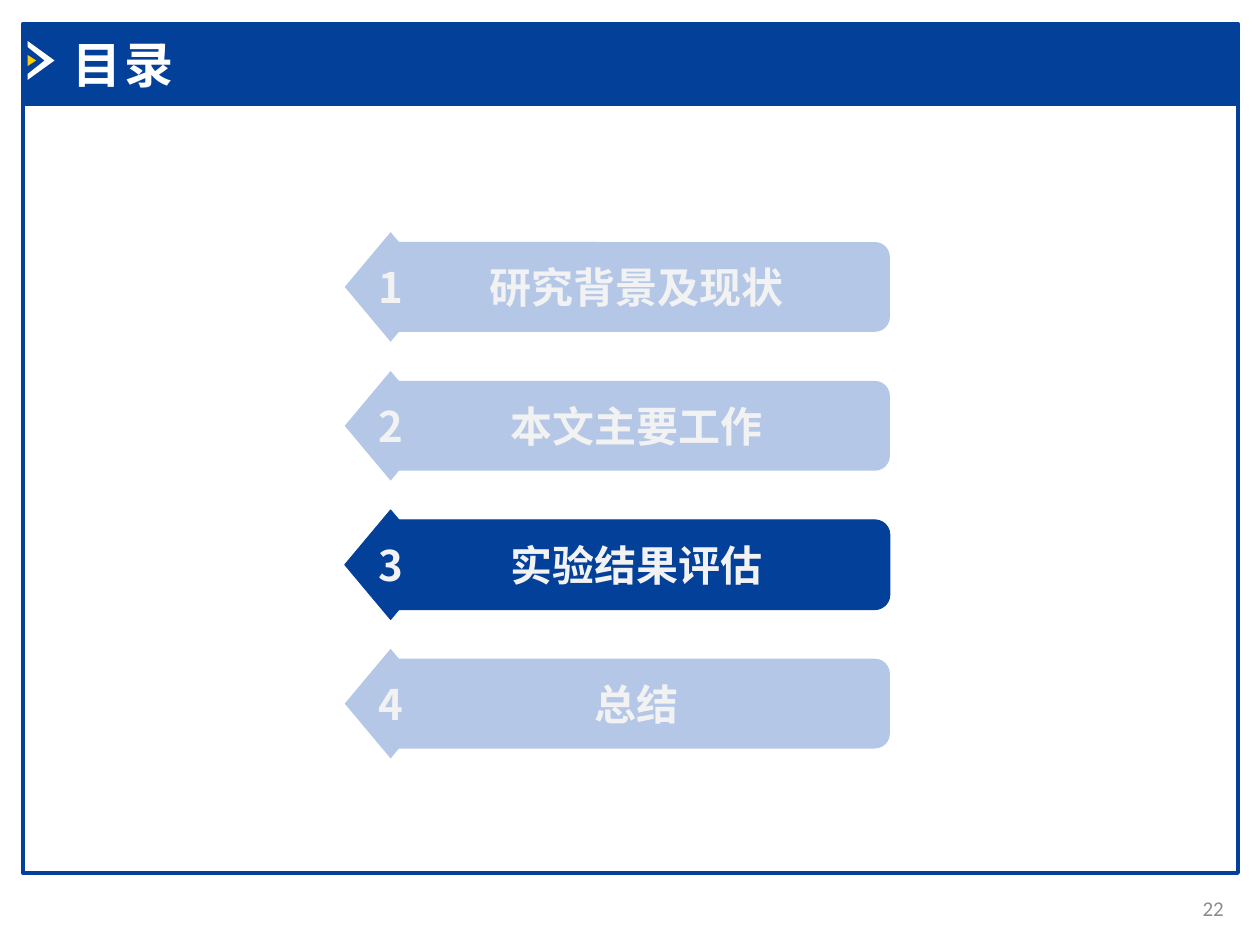
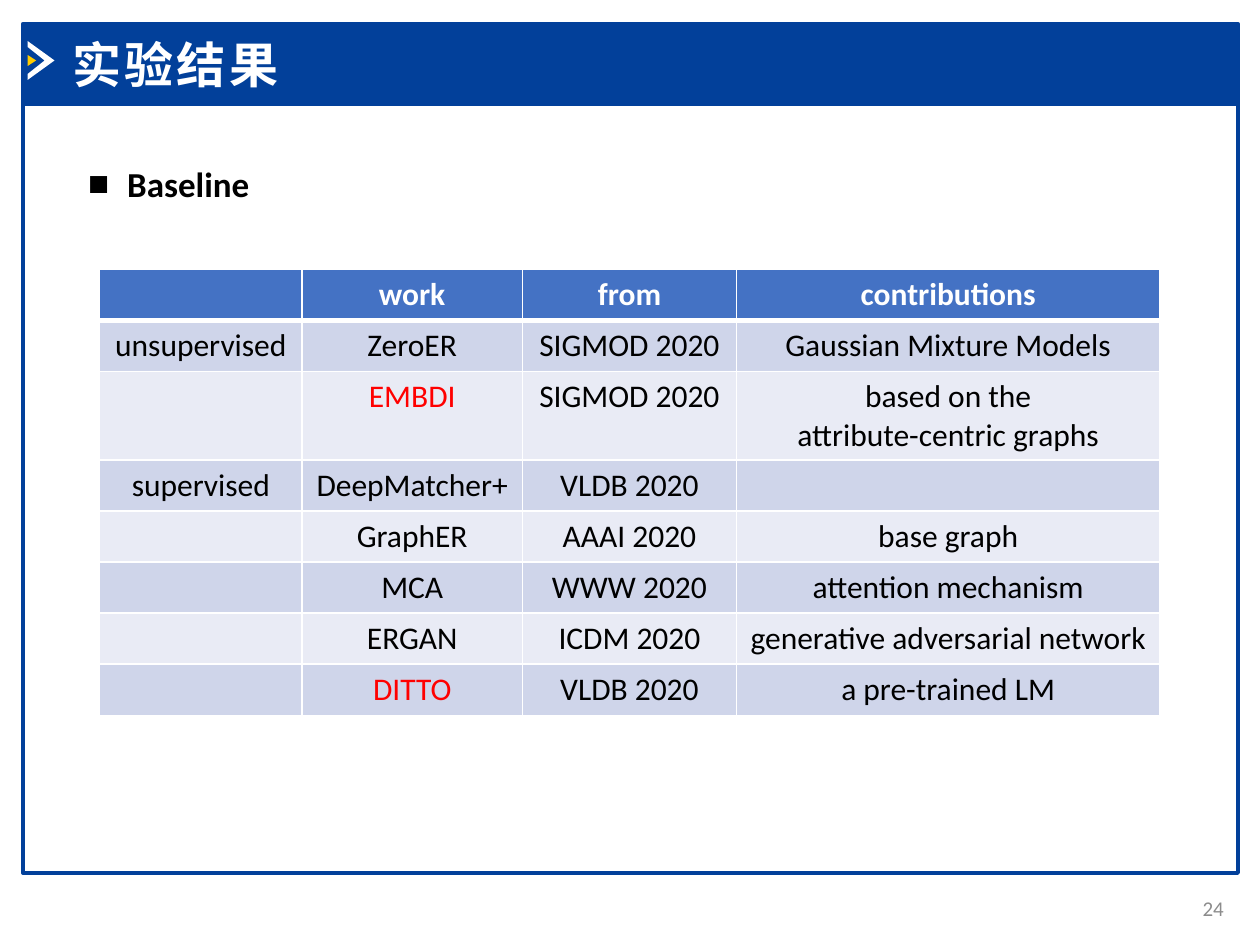
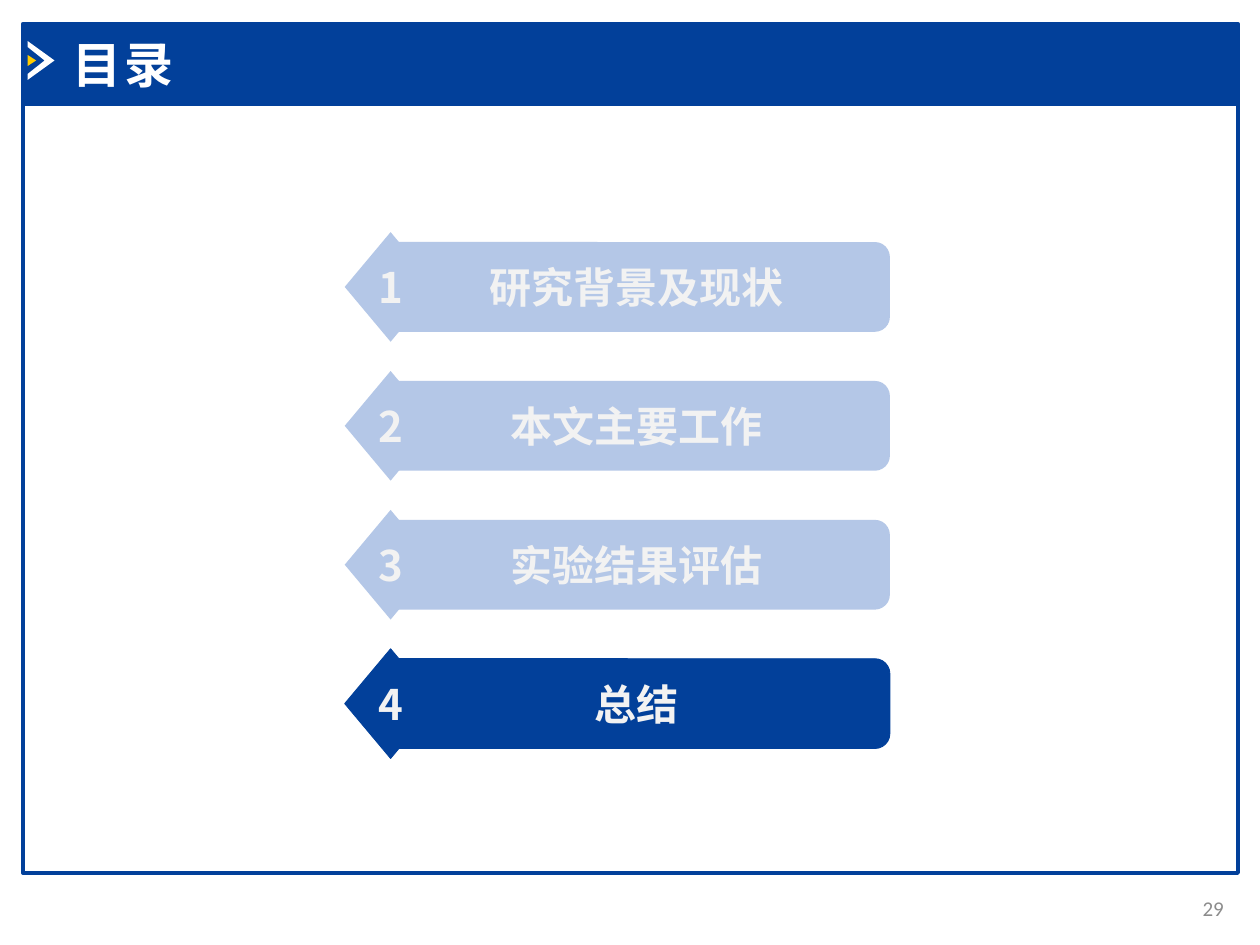
import dataclasses

import lxml.etree
import pptx
import pptx.dml.color
import pptx.enum.shapes
import pptx.enum.text
import pptx.oxml.ns
import pptx.util

Cm = pptx.util.Cm
Pt = pptx.util.Pt
qn = pptx.oxml.ns.qn
RGB = pptx.dml.color.RGBColor.from_string
MSO_SHAPE = pptx.enum.shapes.MSO_SHAPE
PP_ALIGN = pptx.enum.text.PP_ALIGN
MSO_ANCHOR = pptx.enum.text.MSO_ANCHOR


@dataclasses.dataclass(frozen=True)
class Theme:
    navy: str = "02409A"
    pale: str = "B4C7E7"
    yellow: str = "FFCC00"
    white: str = "FFFFFF"
    off_white: str = "F2F2F2"
    grey: str = "8C8C8C"
    black: str = "000000"
    red: str = "FF0000"
    header: str = "4472C4"
    bands: tuple = ("CFD5EA", "E9EBF5")
    font: str = "Calibri"
    cjk: str = "Noto Sans CJK SC"
    title: int = 28
    agenda: int = 24
    body: int = 20
    table: int = 18
    number: int = 12


theme = Theme()


def paint(sp, fill, line=None, width=0.5):
    sp.shadow.inherit = False
    if fill:
        sp.fill.solid()
        sp.fill.fore_color.rgb = RGB(fill)
    else:
        sp.fill.background()
    if line:
        sp.line.color.rgb = RGB(line)
        sp.line.width = Pt(width)
    else:
        sp.line.fill.background()


def style(tf, size, color, bold=False, align=PP_ALIGN.LEFT, font=theme.font):
    for p in tf.paragraphs:
        p.alignment = align
        for r in p.runs:
            r.font.size = Pt(size)
            r.font.bold = bold
            r.font.name = font
            r.font.color.rgb = RGB(color)
            ea = lxml.etree.Element(qn("a:ea"), typeface=theme.cjk)
            r.font._element.find(qn("a:latin")).addnext(ea)


prs = pptx.Presentation()
prs.slide_width, prs.slide_height = Cm(25.4), Cm(19.05)

pages = [("目录", 22, 5), ("实验结果", 24, 1), ("目录", 29, 5)]
slides = []
for title, number, layout in pages:
    s = prs.slides.add_slide(prs.slide_layouts[layout])
    slides.append(s)
    sp = s.shapes.title
    sp.left, sp.top, sp.width, sp.height = Cm(1.2), Cm(0.56), Cm(18.6), Cm(1.45)
    tf = sp.text_frame
    tf.text = title
    tf.auto_size = pptx.enum.text.MSO_AUTO_SIZE.NONE
    tf.vertical_anchor = MSO_ANCHOR.TOP
    style(tf, theme.title, theme.white, True)
    tf.paragraphs[0].runs[0].font._element.set("spc", "200")

    tf = s.shapes.add_textbox(Cm(23.42), Cm(17.8), Cm(1.5), Cm(1.02)).text_frame
    tf.text = str(number)
    tf.word_wrap = True
    tf.vertical_anchor = MSO_ANCHOR.MIDDLE
    style(tf, theme.number, theme.grey, align=PP_ALIGN.RIGHT)

shapes = slides[0].shapes
frame = shapes.add_shape(MSO_SHAPE.RECTANGLE, Cm(0.46), Cm(2.11), Cm(24.5), Cm(15.49))
paint(frame, None, theme.navy, 2)
band = shapes.add_shape(MSO_SHAPE.RECTANGLE, Cm(0.46), Cm(0.48), Cm(24.5), Cm(1.63))
paint(band, theme.navy, theme.navy, 2)
master_shapes = [frame, band]
marks = [
    (theme.white, [(56, 83), (110, 122), (56, 161), (56, 149), (90, 122), (56, 95)]),
    (theme.yellow, [(56, 111), (73, 122), (56, 133)]),
]
for color, points in marks:
    builder = shapes.build_freeform(*points[0], scale=Cm(0.01))
    builder.add_line_segments(points[1:], close=True)
    sp = builder.convert_to_shape()
    paint(sp, color)
    master_shapes.append(sp)
for i, sp in enumerate(master_shapes):
    sp.element.nvSpPr.cNvPr.set("id", str(100 + i))
    prs.slide_master.shapes.element.insert(2 + i, sp.element)

topics = ["研究背景及现状", "本文主要工作", "实验结果评估", "总结"]
for s, current in [(slides[0], 3), (slides[2], 4)]:
    for i, topic in enumerate(topics, 1):
        top = 4.88 + 2.8 * (i - 1)
        grp = s.shapes.add_group_shape()
        bar = grp.shapes.add_shape(
            MSO_SHAPE.ROUNDED_RECTANGLE, Cm(7.72), Cm(top), Cm(10.22), Cm(1.81))
        tip = grp.shapes.add_shape(
            MSO_SHAPE.DIAMOND, Cm(6.95), Cm(top - 0.2), Cm(1.85), Cm(2.21))
        for sp, text, font in [(bar, topic, theme.font), (tip, str(i), theme.cjk)]:
            if i == current:
                paint(sp, theme.navy, theme.navy)
            else:
                paint(sp, theme.pale)
            tf = sp.text_frame
            tf.text = text
            tf.word_wrap = False
            tf.vertical_anchor = MSO_ANCHOR.MIDDLE
            style(tf, theme.agenda, theme.off_white, True, PP_ALIGN.CENTER, font)

s = slides[1]
sp = s.placeholders[1]
sp.left, sp.top, sp.width, sp.height = Cm(1.52), Cm(2.72), Cm(3.81), Cm(1.4)
tf = sp.text_frame
tf.text = "Baseline"
tf.word_wrap = False
tf.auto_size = pptx.enum.text.MSO_AUTO_SIZE.NONE
style(tf, theme.body, theme.black, True)
p = tf.paragraphs[0]
p.line_spacing = 1.5
p.space_before = Pt(0)
pPr = p._p.get_or_add_pPr()
pPr.set("marL", str(Cm(0.79)))
pPr.set("indent", str(-Cm(0.79)))
lxml.etree.SubElement(pPr, qn("a:buFont"), typeface="Arial")
lxml.etree.SubElement(pPr, qn("a:buChar"), char="■")

rows = [
    ("", "work", "from", "contributions"),
    ("unsupervised", "ZeroER", "SIGMOD 2020", "Gaussian Mixture Models"),
    ("", "EMBDI", "SIGMOD 2020", "based on the\nattribute-centric graphs"),
    ("supervised", "DeepMatcher+", "VLDB 2020", ""),
    ("", "GraphER", "AAAI 2020", "base graph"),
    ("", "MCA", "WWW 2020", "attention mechanism"),
    ("", "ERGAN", "ICDM 2020", "generative adversarial network"),
    ("", "DITTO", "VLDB 2020", "a pre-trained LM"),
]
widths = [4.08, 4.44, 4.32, 8.53]
highlights = {"EMBDI", "DITTO"}
table = s.shapes.add_table(
    len(rows), len(widths), Cm(2.01), Cm(5.43), Cm(sum(widths)), Cm(1.03 * len(rows))).table
for col, width in zip(table.columns, widths):
    col.width = Cm(width)
for y, row in enumerate(rows):
    table.rows[y].height = Cm(1.03)
    for x, text in enumerate(row):
        cell = table.cell(y, x)
        cell.text = text
        cell.fill.solid()
        cell.fill.fore_color.rgb = RGB(theme.bands[(y - 1) % 2] if y else theme.header)
        color = theme.red if text in highlights else theme.black if y else theme.white
        style(cell.text_frame, theme.table, color, y == 0, PP_ALIGN.CENTER)
        tcPr = cell._tc.get_or_add_tcPr()
        for i, side in enumerate("LRTB"):
            thick = (y, side) in {(0, "B"), (1, "T")}
            ln = lxml.etree.Element(qn("a:ln" + side), w=str(Pt(3 if thick else 1)))
            fill = lxml.etree.SubElement(ln, qn("a:solidFill"))
            lxml.etree.SubElement(fill, qn("a:srgbClr"), val=theme.white)
            tcPr.insert(i, ln)

prs.save("out.pptx")
